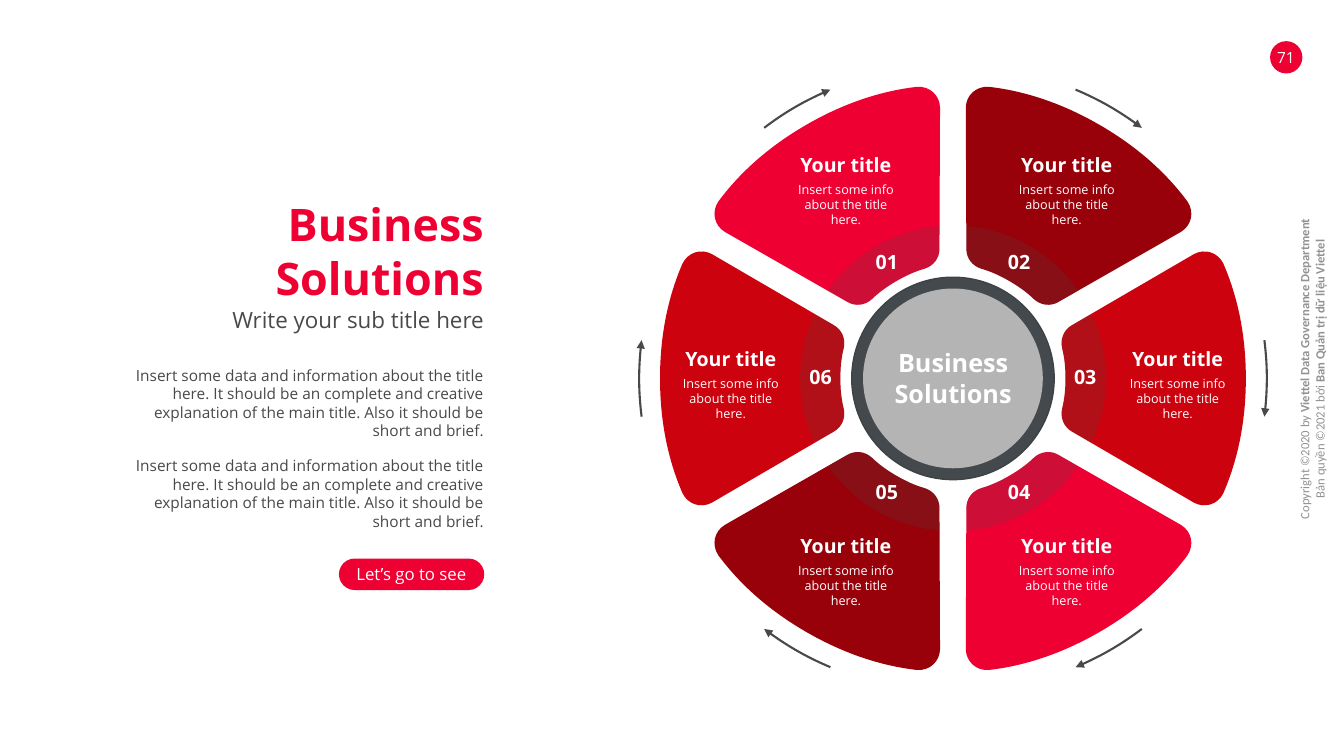
from math import cos, radians, sin, tan

from lxml.etree import SubElement
from pptx import Presentation
from pptx.dml.color import RGBColor
from pptx.enum.shapes import MSO_SHAPE
from pptx.enum.text import MSO_AUTO_SIZE, PP_ALIGN
from pptx.oxml.ns import qn
from pptx.util import Inches, Pt

ELLIPSE, ROUNDED = MSO_SHAPE.OVAL, MSO_SHAPE.ROUNDED_RECTANGLE
CENTER, RIGHT = PP_ALIGN.CENTER, PP_ALIGN.RIGHT
FIT_SHAPE = MSO_AUTO_SIZE.SHAPE_TO_FIT_TEXT

# The slide is a grid of 160 columns by 90 rows with square cells
COLUMNS = 160
WIDTH, HEIGHT = Inches(13.333), Inches(7.5)

COLORS = {
    "bright": "EE0033", "dark": "98010A", "red": "CC020E",
    "text": "494949", "white": "FFFFFF", "muted": "929292",
    "ring": "44494D", "ring_edge": "3D4245", "disc": "B5B4B4",
}

# Wheel geometry, relative to its centre, for the sector that points right.
# Each half outline runs from the inner to the outer end of the sector axis,
# three Bezier points to a side; a straight side repeats its end point.
WHEEL_X, WHEEL_Y = 113.45, 45.05
INNER_EDGE = [
    (13.4, 0),
    (13.4, 1.2), (13.3, 2.4), (13, 3.6),
    (12.75, 4.7), (13.2, 5.8), (14.2, 6.35),
]
SECTOR_EDGE = INNER_EDGE + [(28.7, 14.8)] * 3 + [
    (30, 15.5), (31.55, 15), (32.2, 13.65),
    (34, 9.5), (34.87, 4.9), (34.87, 0),
]
BAND_EDGE = INNER_EDGE + [(16.5, 7.65)] * 3 + [
    (17.6, 5.3), (18.2, 2.75), (18.2, 0),
]
NUMBER_RADIUS = 15.75
ARROW_RADIUS, ARROW_HALF_ANGLE = 37.35, 7

# Number, colour, left and top of the title; clockwise from the upper left
SECTORS = [
    ("01", "bright", 94.2, 18.2),
    ("02", "dark", 120.5, 18.2),
    ("03", "red", 133.7, 41.3),
    ("04", "bright", 120.5, 63.6),
    ("05", "dark", 94.2, 63.6),
    ("06", "red", 80.5, 41.3),
]

BODY = ("Insert some data and information about the title here. It should be an "
        "complete and creative explanation of the main title. Also it should be "
        "short and brief.")


def mirrored(edge):
    """Complete a half outline with its reflection in the sector axis."""
    return edge + [(x, -y) for x, y in reversed(edge[:-1])]


def arc(radius, half_angle):
    """Return the Bezier points of a clockwise arc around the axis."""
    angle = radians(half_angle)
    x, y = radius * cos(angle), radius * sin(angle)
    reach = 4 / 3 * tan(angle / 2)
    return [(x, -y), (x + reach * y, -y + reach * x),
            (x + reach * y, y - reach * x), (x, y)]


def on_wheel(points, degrees):
    """Turn points around the wheel centre."""
    c, s = cos(radians(degrees)), sin(radians(degrees))
    return [(WHEEL_X + x * c - y * s, WHEEL_Y + x * s + y * c) for x, y in points]


class SlideBuilder:
    def __init__(self, presentation, font="Open Sans"):
        self.slide = presentation.slides.add_slide(presentation.slide_layouts[6])
        self.shapes = self.slide.shapes
        self.cell = presentation.slide_width / COLUMNS
        self.font = font

    def grid(self, *cells):
        return [round(value * self.cell) for value in cells]

    def paint(self, shape, fill=None, line=None, line_width=1.0, opacity=None):
        shape.shadow.inherit = False
        if fill:
            shape.fill.solid()
            shape.fill.fore_color.rgb = RGBColor.from_string(COLORS[fill])
        else:
            shape.fill.background()
        if line:
            shape.line.color.rgb = RGBColor.from_string(COLORS[line])
            shape.line.width = Pt(line_width)
        else:
            shape.line.fill.background()
        if opacity is not None:
            color = shape.element.spPr.find(qn("a:solidFill"))[0]
            SubElement(color, qn("a:alpha")).set("val", str(opacity * 1000))
        return shape

    def preset(self, kind, left, top, width, height, **style):
        shape = self.shapes.add_shape(kind, *self.grid(left, top, width, height))
        return self.paint(shape, **style)

    def wheel_circle(self, size, **style):
        return self.preset(ELLIPSE, WHEEL_X - size / 2, WHEEL_Y - size / 2,
                           size, size, **style)

    def curve(self, points, close=True, **style):
        """Draw a freeform whose points after the first are Bezier triples."""
        start, *others = [tuple(self.grid(*point)) for point in points]
        builder = self.shapes.build_freeform(*start)
        builder.add_line_segments(others, close=close)
        shape = builder.convert_to_shape()
        outline = shape.element.find(".//" + qn("a:path"))
        lines = outline.findall(qn("a:lnTo"))
        for first in range(0, len(lines), 3):
            bezier = SubElement(outline, qn("a:cubicBezTo"))
            lines[first].addprevious(bezier)
            for line in lines[first:first + 3]:
                bezier.append(line[0])
                outline.remove(line)
        return self.paint(shape, **style)

    def arrow(self, points):
        shape = self.curve(points, close=False, line="text", line_width=1.5)
        line = shape.element.spPr.find(qn("a:ln"))
        SubElement(line, qn("a:tailEnd")).set("type", "triangle")

    def text(self, paragraphs, left, top, width, height, *, size, color="white",
             bold=False, align=CENTER, font=None, space_after=None, rotation=0):
        """Write paragraphs, each a string or a list of (text, bold) runs."""
        box = self.shapes.add_textbox(*self.grid(left, top, width, height))
        box.rotation = rotation
        frame = box.text_frame
        frame.word_wrap = True
        frame.auto_size = FIT_SHAPE
        frame.margin_left = frame.margin_right = 0
        frame.margin_top = frame.margin_bottom = 0
        if isinstance(paragraphs, str):
            paragraphs = [paragraphs]
        for index, content in enumerate(paragraphs):
            paragraph = frame.add_paragraph() if index else frame.paragraphs[0]
            paragraph.alignment = align
            if space_after is not None:
                paragraph.space_after = Pt(space_after)
            runs = [(content, bold)] if isinstance(content, str) else content
            for words, is_bold in runs:
                run = paragraph.add_run()
                run.text = words
                run.font.name = font or self.font
                run.font.size = Pt(size)
                run.font.bold = is_bold
                run.font.color.rgb = RGBColor.from_string(COLORS[color])


def main():
    presentation = Presentation()
    presentation.slide_width, presentation.slide_height = WIDTH, HEIGHT
    page = SlideBuilder(presentation)

    # Copyright and page number
    page.text([[("Copyright ©2020 by ", False),
                ("Viettel Data Governance Department", True)],
               [("Bản quyền ©2021 bởi ", False),
                ("Ban Quản trị dữ liệu Viettel", True)]],
              128.55, 42.1, 55.3, 3.65, size=9, color="muted", font="Calibri", rotation=270)
    page.preset(ELLIPSE, 151.2, 4.9, 3.85, 3.85, fill="bright")
    page.text("71", 150.7, 5.75, 4.8, 2.3, size=11)

    # Heading, description and button
    left, width = 15.35, 42.25
    page.text("Business Solutions", left, 23.4, width, 13, size=32, color="bright",
              bold=True, align=RIGHT)
    page.text("Write your sub title here", left, 36.45, width, 3.25, size=16,
              color="text", align=RIGHT)
    page.text([BODY, BODY], left, 43.55, width, 15.35, size=11, color="text",
              align=RIGHT, space_after=12)
    button = page.preset(ROUNDED, 40.35, 66.5, 17.3, 3.75, fill="bright")
    button.adjustments[0] = 0.5
    page.text("Let’s go to see", 41.05, 67.1, 15.85, 2.4, size=12)

    # Hub of the wheel
    page.wheel_circle(24.1, fill="ring", line="ring_edge")
    page.wheel_circle(21.4, fill="disc")
    page.text(["Business", "Solutions"], 104.05, 41.4, 18.85, 7.35, size=18, bold=True)

    # Sectors with bands, numbers, titles and outer arrows
    sector, band = mirrored(SECTOR_EDGE), mirrored(BAND_EDGE)
    arrow = arc(ARROW_RADIUS, ARROW_HALF_ANGLE)
    for index, (number, color, title_left, title_top) in enumerate(SECTORS):
        angle = 240 + 60 * index
        page.curve(on_wheel(sector, angle), fill=color)
        page.curve(on_wheel(band, angle), fill="text", opacity=20)
        [(x, y)] = on_wheel([(NUMBER_RADIUS, 0)], angle)
        page.text(number, x - 2.28, y - 1.6, 4.55, 2.9, size=14, bold=True)
        page.text("Your title", title_left, title_top, 13, 2.9, size=14, bold=True)
        page.text("Insert some info about the title here.",
                  title_left, title_top + 3.4, 13, 3.6, size=9)
        page.arrow(on_wheel(arrow, angle))

    presentation.save("out.pptx")


if __name__ == "__main__":
    main()
